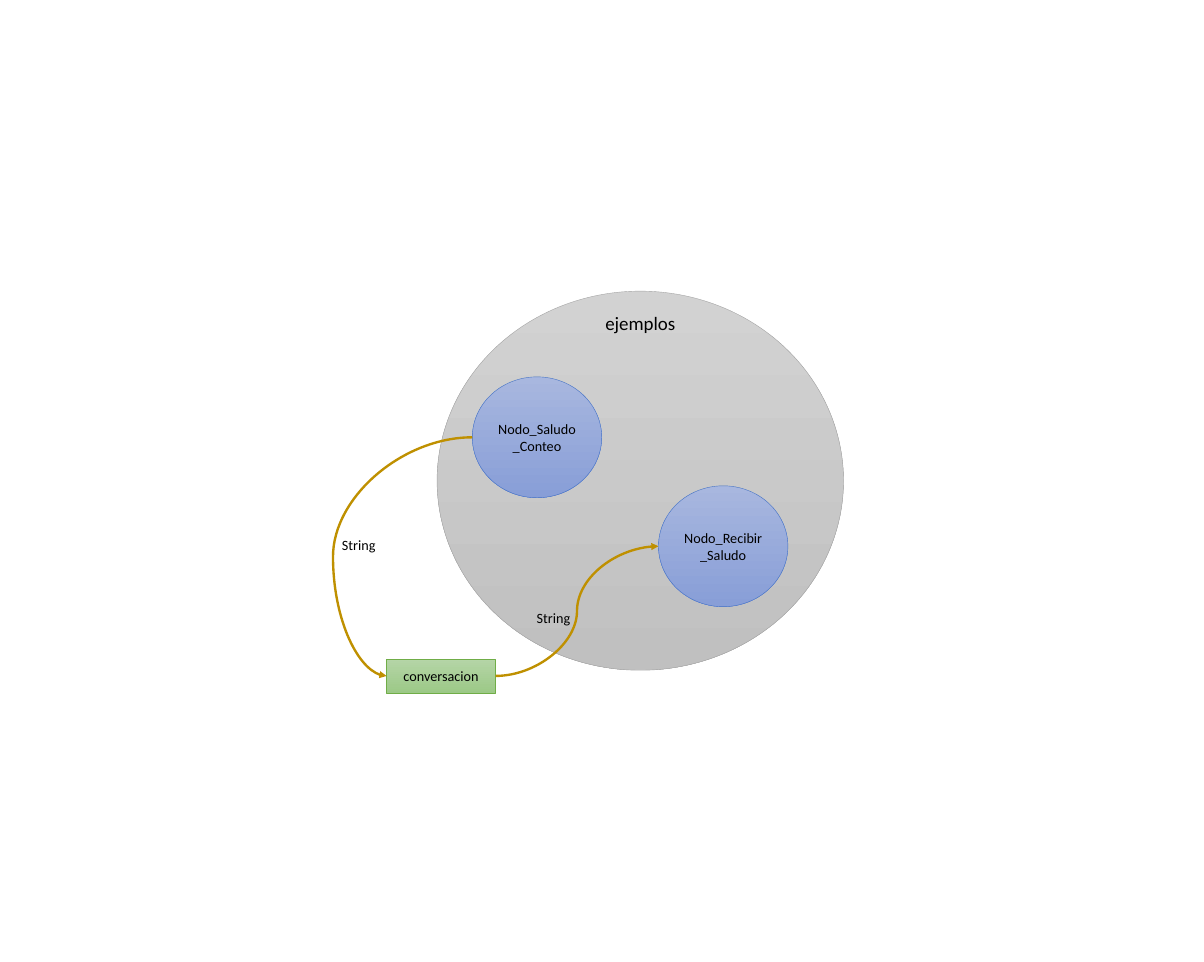
from dataclasses import dataclass

from lxml import etree
from pptx import Presentation
from pptx.dml.color import RGBColor
from pptx.enum.shapes import MSO_CONNECTOR, MSO_SHAPE
from pptx.enum.text import MSO_ANCHOR, PP_ALIGN
from pptx.oxml.ns import qn
from pptx.util import Pt

OVAL, RECT = MSO_SHAPE.OVAL, MSO_SHAPE.RECTANGLE
CURVE = MSO_CONNECTOR.CURVE
MIDDLE, CENTER = MSO_ANCHOR.MIDDLE, PP_ALIGN.CENTER


@dataclass(frozen=True)
class Theme:
    font: str = "Calibri"
    text: str = "000000"
    package_size: int = 24
    body_size: int = 18
    arrow: str = "BF9000"
    arrow_width: float = 3
    outline_width: float = 0.5
    # gradient top, gradient bottom, outline
    gray: tuple = ("D2D2D2", "C0C0C0", "A5A5A5")
    green: tuple = ("B5D5A7", "9CC987", "70AD47")
    blue: tuple = ("A8B7DF", "889ED7", "4472C4")


THEME = Theme()

# Content: lengths in points, boxes as left, top, width, height
SLIDE_SIZE = (1527.12, 1220.4)
NODE_SIZE = (164.16, 153.36)
PACKAGE_BOX = (554.4, 369.36, 515.52, 480.96)
TOPIC_BOX = (490.32, 835.92, 138.24, 43.2)
PUBLISHER_BOX = (599.04, 478.08, *NODE_SIZE)
SUBSCRIBER_BOX = (835.2, 616.32, *NODE_SIZE)
LABELS = [
    ("ejemplos", (742.16, 391, 140, 37), THEME.package_size),
    ("String", (671.04, 769.68, 61.92, 28.8), THEME.body_size),
    ("String", (424.08, 676.8, 61.92, 28.8), THEME.body_size),
]

# Connection sites: an oval has eight, a rectangle four
OVAL_LEFT, RECT_LEFT, RECT_RIGHT = 2, 1, 3


def rgb(value):
    return RGBColor.from_string(value)


def write(frame, text, size, wrap=True):
    frame.word_wrap = wrap
    frame.vertical_anchor = MIDDLE
    paragraph = frame.paragraphs[0]
    paragraph.alignment = CENTER
    run = paragraph.add_run()
    run.text = text
    run.font.name = THEME.font
    run.font.size = Pt(size)
    run.font.color.rgb = rgb(THEME.text)


def add_block(slide, kind, box, colors, text=None):
    block = slide.shapes.add_shape(kind, *map(Pt, box))
    block.shadow.inherit = False
    top, bottom, outline = colors
    block.fill.gradient()
    block.fill.gradient_angle = 270
    for stop, color in zip(block.fill.gradient_stops, (top, bottom)):
        stop.color.rgb = rgb(color)
    block.line.color.rgb = rgb(outline)
    block.line.width = Pt(THEME.outline_width)
    if text:
        write(block.text_frame, text, THEME.body_size)
    return block


def side_point(block, right=False):
    x = block.left + (block.width if right else 0)
    return x, block.top + block.height // 2


def add_arrow(slide, source, source_site, target, target_site, bend):
    start = side_point(source, right=source_site == RECT_RIGHT)
    end = side_point(target)
    arrow = slide.shapes.add_connector(CURVE, *start, *end)
    arrow.begin_connect(source, source_site)
    arrow.end_connect(target, target_site)
    # Joining assumes rectangle sites, so restore the oval ends
    arrow.begin_x, arrow.begin_y = start
    arrow.end_x, arrow.end_y = end
    arrow.line.color.rgb = rgb(THEME.arrow)
    arrow.line.width = Pt(THEME.arrow_width)

    properties = arrow._element.spPr
    guides = properties.find(qn("a:prstGeom")).get_or_add_avLst()
    etree.SubElement(guides, qn("a:gd"), name="adj1", fmla=f"val {round(bend * 100000)}")
    etree.SubElement(properties.find(qn("a:ln")), qn("a:tailEnd"), type="triangle")
    etree.SubElement(properties, qn("a:effectLst"))


def main():
    deck = Presentation()
    deck.slide_width, deck.slide_height = map(Pt, SLIDE_SIZE)
    slide = deck.slides.add_slide(deck.slide_layouts[6])

    # Package, topic and nodes
    add_block(slide, OVAL, PACKAGE_BOX, THEME.gray)
    topic = add_block(slide, RECT, TOPIC_BOX, THEME.green, "conversacion")
    subscriber = add_block(slide, OVAL, SUBSCRIBER_BOX, THEME.blue, "Nodo_Recibir_Saludo")
    publisher = add_block(slide, OVAL, PUBLISHER_BOX, THEME.blue, "Nodo_Saludo_Conteo")

    # Message flow: publisher to topic to subscriber
    add_arrow(slide, publisher, OVAL_LEFT, topic, RECT_LEFT, bend=1.625)
    add_arrow(slide, topic, RECT_RIGHT, subscriber, OVAL_LEFT, bend=0.5)

    # Package name and message types
    for text, box, size in LABELS:
        label = slide.shapes.add_textbox(*map(Pt, box))
        write(label.text_frame, text, size, wrap=False)

    deck.save("out.pptx")


if __name__ == "__main__":
    main()
